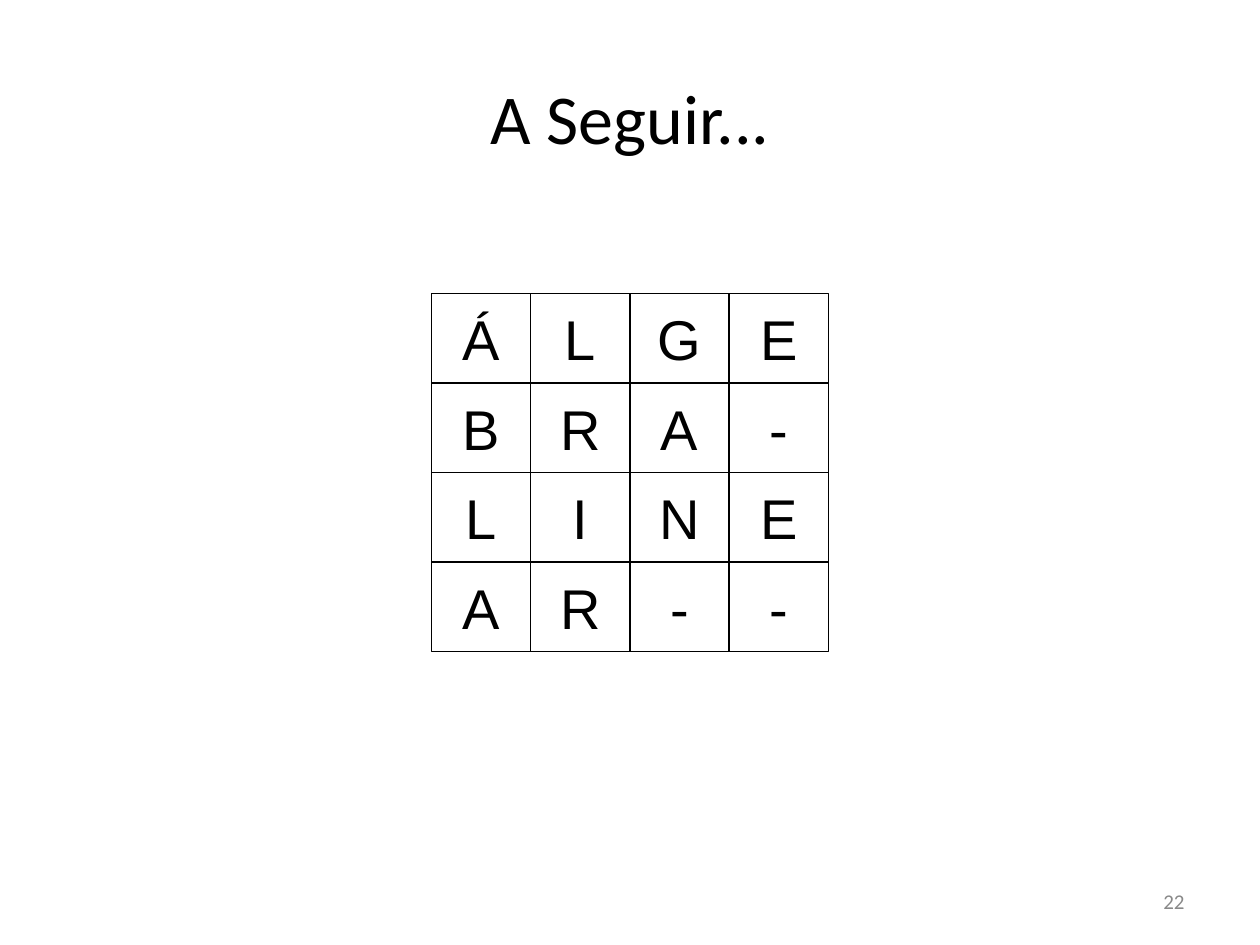
from pptx import Presentation
from pptx.dml.color import RGBColor
from pptx.enum.shapes import MSO_SHAPE
from pptx.enum.text import MSO_ANCHOR, PP_ALIGN
from pptx.util import Pt

RECTANGLE = MSO_SHAPE.RECTANGLE
MIDDLE = MSO_ANCHOR.MIDDLE
CENTER, RIGHT = PP_ALIGN.CENTER, PP_ALIGN.RIGHT
BLACK = RGBColor(0x00, 0x00, 0x00)
GRAY = RGBColor(0x89, 0x89, 0x89)

LETTER_ROWS = ["ÁLGE", "BRA-", "LINE", "AR--"]
CELL_WIDTH, CELL_HEIGHT = 56.7, 51.1
GRID_LEFT = 360 - CELL_WIDTH * 2
GRID_TOP = 167.8


def write(shape, text, *, size, font="Calibri", color=BLACK, align=CENTER, wrap=True):
    """Put one formatted, vertically centred line of text in a shape."""
    frame = shape.text_frame
    frame.word_wrap = wrap
    frame.vertical_anchor = MIDDLE
    paragraph = frame.paragraphs[0]
    paragraph.alignment = align
    run = paragraph.add_run()
    run.text = text
    run.font.size = Pt(size)
    run.font.name = font
    run.font.color.rgb = color


presentation = Presentation()
presentation.slide_width = Pt(720)
presentation.slide_height = Pt(540)
slide = presentation.slides.add_slide(presentation.slide_layouts[6])

page_number = slide.shapes.add_textbox(Pt(516), Pt(500.5), Pt(168), Pt(28.75))
write(page_number, "22", size=12, color=GRAY, align=RIGHT)

title = slide.shapes.add_textbox(Pt(36), Pt(21.6), Pt(648), Pt(90))
write(title, "A Seguir...", size=40)

letter_grid = slide.shapes.add_group_shape()
for row, letters in enumerate(LETTER_ROWS):
    for column, letter in enumerate(letters):
        cell = letter_grid.shapes.add_shape(
            RECTANGLE,
            Pt(GRID_LEFT + column * CELL_WIDTH),
            Pt(GRID_TOP + row * CELL_HEIGHT),
            Pt(CELL_WIDTH),
            Pt(CELL_HEIGHT),
        )
        cell.shadow.inherit = False
        cell.fill.background()
        cell.line.color.rgb = BLACK
        cell.line.width = Pt(0.75)
        write(cell, letter, size=32, font="Arial", wrap=False)

presentation.save("out.pptx")
